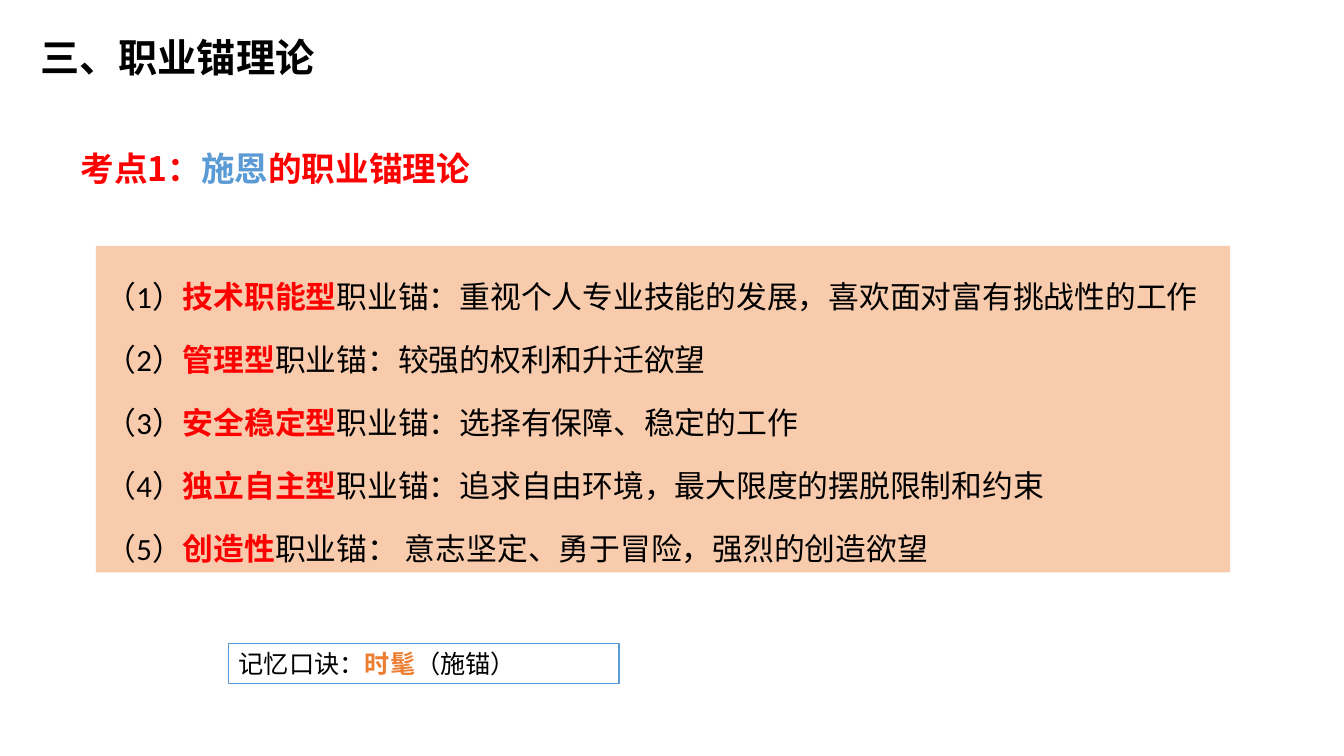
from lxml import etree
from pptx import Presentation
from pptx.dml.color import RGBColor
from pptx.enum.shapes import MSO_SHAPE
from pptx.enum.text import MSO_ANCHOR, PP_ALIGN
from pptx.oxml.ns import qn
from pptx.util import Emu, Pt

RECTANGLE = MSO_SHAPE.RECTANGLE
MIDDLE = MSO_ANCHOR.MIDDLE
LEFT = PP_ALIGN.LEFT
TITLE_ONLY = 5
EMU_PER_PX = 9144

COLORS = {
    "black": "000000",
    "red": "FF0000",
    "blue": "5B9BD5",
    "orange": "ED7D31",
    "peach": "F8CBAD",
}

ANCHOR_TYPES = [
    ("（1）", "技术职能型", "职业锚：重视个人专业技能的发展，喜欢面对富有挑战性的工作"),
    ("（2）", "管理型", "职业锚：较强的权利和升迁欲望"),
    ("（3）", "安全稳定型", "职业锚：选择有保障、稳定的工作"),
    ("（4）", "独立自主型", "职业锚：追求自由环境，最大限度的摆脱限制和约束"),
    ("（5）", "创造性", "职业锚： 意志坚定、勇于冒险，强烈的创造欲望"),
]


def px(length):
    return Emu(length * EMU_PER_PX)


def color(name):
    return RGBColor.from_string(COLORS[name])


class SlideBuilder:
    body_font = "Calibri"
    heading_font = "Noto Sans CJK SC"

    def __init__(self, presentation):
        self.slide = presentation.slides.add_slide(presentation.slide_layouts[TITLE_ONLY])

    def add_text(self, shape, paragraphs, size, font=body_font, spacing=1.0):
        """Fill a shape with paragraphs, each a list of (text, color, bold) runs."""
        frame = shape.text_frame
        frame.word_wrap = True
        frame.vertical_anchor = MIDDLE
        for index, runs in enumerate(paragraphs):
            paragraph = frame.add_paragraph() if index else frame.paragraphs[0]
            paragraph.alignment = LEFT
            paragraph.line_spacing = spacing
            paragraph.space_before = Pt(0)
            for text, color_name, bold in runs:
                run = paragraph.add_run()
                run.text = text
                run.font.size = Pt(size)
                run.font.bold = bold
                run.font.color.rgb = color(color_name)
                run.font.name = font
                east_asian = etree.SubElement(run.font._element, qn("a:ea"))
                east_asian.set("typeface", font)

    def title(self, text, left, top, width, height):
        shape = self.slide.shapes.title
        shape.left, shape.top = px(left), px(top)
        shape.width, shape.height = px(width), px(height)
        self.add_text(shape, [[(text, "black", True)]], 28)

    def heading(self, runs, left, top, width, height):
        shape = self.slide.shapes.add_textbox(px(left), px(top), px(width), px(height))
        self.add_text(shape, [runs], 24, self.heading_font, 1.1)

    def panel(self, paragraphs, left, top, width, height, size,
              spacing=1.0, fill=None, line=None):
        shape = self.slide.shapes.add_shape(
            RECTANGLE, px(left), px(top), px(width), px(height))
        shape.shadow.inherit = False
        if fill:
            shape.fill.solid()
            shape.fill.fore_color.rgb = color(fill)
        else:
            shape.fill.background()
        if line:
            shape.line.color.rgb = color(line)
            shape.line.width = Pt(0.75)
        else:
            shape.line.fill.background()
        self.add_text(shape, paragraphs, size, spacing=spacing)


def main():
    presentation = Presentation()
    presentation.slide_width = px(1333)
    presentation.slide_height = px(750)
    builder = SlideBuilder(presentation)

    builder.title("三、职业锚理论", 30, 28, 667, 57)
    builder.heading(
        [("考点1：", "red", True), ("施恩", "blue", True), ("的职业锚理论", "red", True)],
        70, 138, 654, 53)
    anchor_paragraphs = [
        [(number, "black", False), (name, "red", True), (description, "black", False)]
        for number, name, description in ANCHOR_TYPES
    ]
    builder.panel(anchor_paragraphs, 95, 244, 1125, 324, 22, spacing=1.7, fill="peach")
    mnemonic = [("记忆口诀：", "black", False), ("时髦", "orange", True),
                ("（施锚）", "black", False)]
    builder.panel([mnemonic], 227, 638, 387, 40, 18, line="blue")

    presentation.save("out.pptx")


if __name__ == "__main__":
    main()
